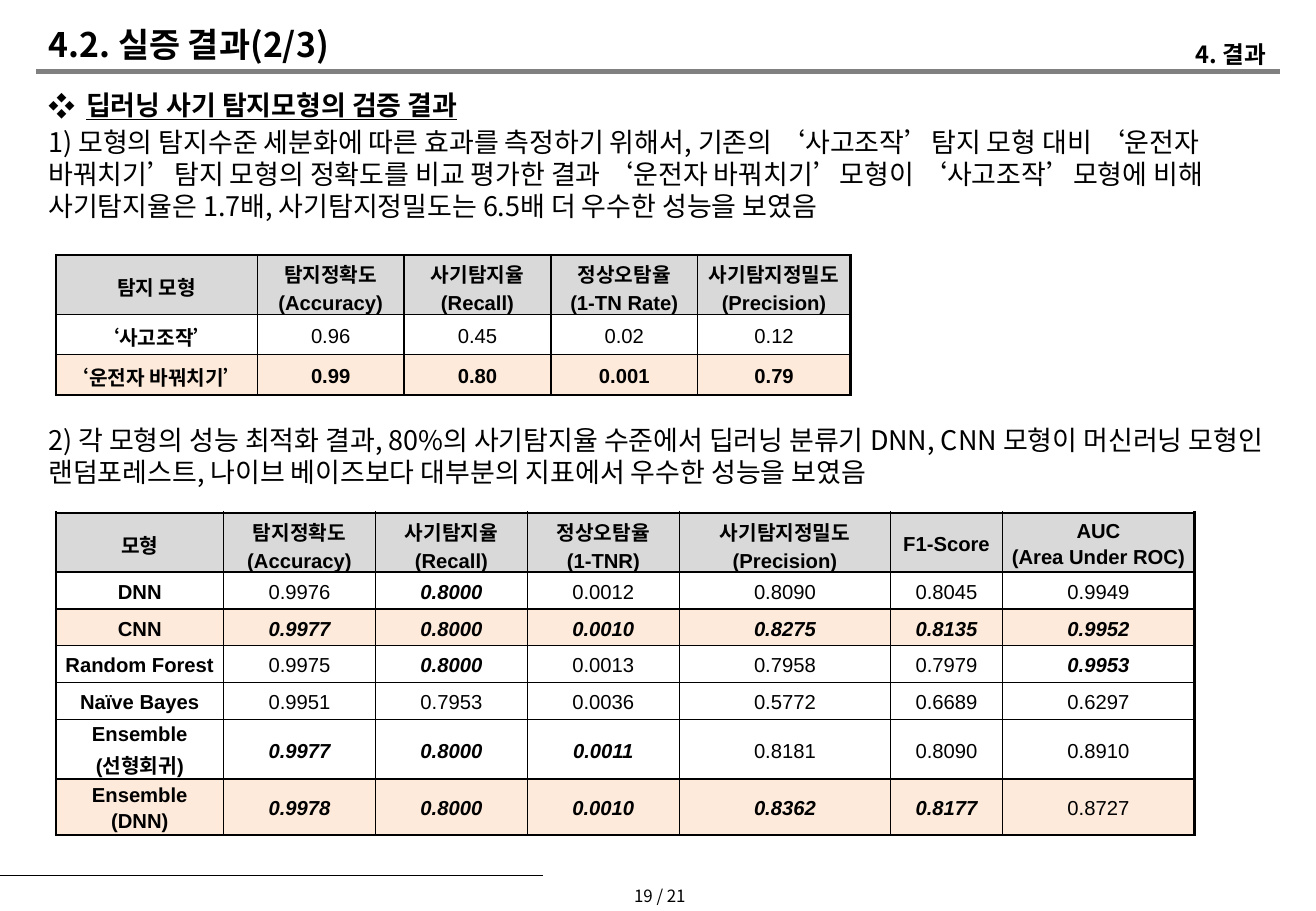
from lxml.etree import SubElement
from pptx import Presentation
from pptx.dml.color import RGBColor
from pptx.enum.shapes import MSO_CONNECTOR
from pptx.enum.text import MSO_ANCHOR, MSO_AUTO_SIZE, PP_ALIGN
from pptx.oxml.ns import qn
from pptx.util import Inches, Pt

WIDTH, HEIGHT = Inches(10.83), Inches(7.5)
KOREAN, LATIN = "Noto Sans CJK KR", "Arial"
BLACK, GRAY, HEADER, HIGHLIGHT = "000000", "808080", "D9D9D9", "FDEADA"
LEFT, CONTENT_WIDTH = 2.77, 94.46  # percent of the slide width

DETECTION_COLUMNS = [1.66, 1.21, 1.21, 1.21, 1.26]
DETECTION_ROWS = [6.53, 4.4, 4.4]  # percent of the slide height
DETECTION = [
    ["탐지 모형", "탐지정확도\n(Accuracy)", "사기탐지율\n(Recall)",
     "정상오탐율\n(1-TN Rate)", "사기탐지정밀도 (Precision)"],
    ["‘사고조작’", "0.96", "0.45", "0.02", "0.12"],
    ["‘운전자 바꿔치기’", "0.99", "0.80", "0.001", "0.79"],
]

# An asterisk marks a value set in bold italics
MODEL_COLUMNS = [1.38, 1.25, 1.25, 1.25, 1.74, 0.92, 1.58]
MODEL_ROWS = [6.53, 4.05, 4.05, 4.05, 4.05, 6.53, 5.73]
MODELS = [
    ["모형", "탐지정확도\n(Accuracy)", "사기탐지율\n(Recall)", "정상오탐율\n(1-TNR)",
     "사기탐지정밀도 (Precision)", "F1-Score", "AUC\n(Area Under ROC)"],
    ["DNN", "0.9976", "0.8000*", "0.0012", "0.8090", "0.8045", "0.9949"],
    ["CNN", "0.9977*", "0.8000*", "0.0010*", "0.8275*", "0.8135*", "0.9952*"],
    ["Random Forest", "0.9975", "0.8000*", "0.0013", "0.7958", "0.7979", "0.9953*"],
    ["Naïve Bayes", "0.9951", "0.7953", "0.0036", "0.5772", "0.6689", "0.6297"],
    ["Ensemble\n(선형회귀)", "0.9977*", "0.8000*", "0.0011*", "0.8181", "0.8090", "0.8910"],
    ["Ensemble\n(DNN)", "0.9978*", "0.8000*", "0.0010*", "0.8362*", "0.8177*", "0.8727"],
]


def color(value):
    return RGBColor.from_string(value)


def across(percent):
    return round(WIDTH * percent / 100)


def down(percent):
    return round(HEIGHT * percent / 100)


def region(left, top, width, height):
    return across(left), down(top), across(width), down(height)


def write(paragraph, text, size=16, font=KOREAN, bold=False, italic=False,
          underline=False, align=PP_ALIGN.LEFT, spacing=None, before=0):
    paragraph.alignment = align
    paragraph.space_before = Pt(before)
    if spacing:
        paragraph.line_spacing = spacing
    run = paragraph.add_run()
    run.text = text
    run.font.size, run.font.name = Pt(size), font
    run.font.bold, run.font.italic, run.font.underline = bold, italic, underline
    run.font.color.rgb = color(BLACK)
    SubElement(run.font._element, qn("a:ea")).set("typeface", KOREAN)


def add_bullet(paragraph, symbol):
    properties = paragraph._p.get_or_add_pPr()
    indent = Inches(0.31)
    properties.set("marL", str(indent))
    properties.set("indent", str(-indent))
    SubElement(properties, qn("a:buFont")).set("typeface", KOREAN)
    SubElement(properties, qn("a:buChar")).set("char", symbol)


def add_text(slide, box, lines, wrap=True):
    """Place one paragraph for each (text, format) pair and return the frame."""
    frame = slide.shapes.add_textbox(*box).text_frame
    frame.word_wrap = wrap
    for index, (text, style) in enumerate(lines):
        paragraph = frame.add_paragraph() if index else frame.paragraphs[0]
        write(paragraph, text, **style)
    return frame


def add_rule(slide, left, right, top, line_color, weight):
    line = slide.shapes.add_connector(MSO_CONNECTOR.STRAIGHT, across(left), down(top),
                                      across(right), down(top))
    line.line.color.rgb = color(line_color)
    line.line.width = Pt(weight)
    SubElement(line._element.spPr, qn("a:effectLst"))


def set_borders(cell, weights):
    properties = cell._tc.get_or_add_tcPr()
    for index, (side, weight) in enumerate(weights.items()):
        line = properties.makeelement(qn(f"a:{side}"), {"w": str(Pt(weight))})
        fill = SubElement(line, qn("a:solidFill"))
        SubElement(fill, qn("a:srgbClr")).set("val", BLACK)
        properties.insert(index, line)


def add_results(slide, box, rows, column_weights, row_heights, highlighted, bold_highlight=False):
    left, top, width, height = box
    table = slide.shapes.add_table(len(rows), len(column_weights), *box).table
    table.horz_banding = False
    for column, weight in zip(table.columns, column_weights):
        column.width = round(width * weight / sum(column_weights))
    for row, share in zip(table.rows, row_heights):
        row.height = round(height * share / sum(row_heights))

    last_row, last_column = len(rows) - 1, len(column_weights) - 1
    for r, values in enumerate(rows):
        for c, value in enumerate(values):
            cell = table.cell(r, c)
            cell.vertical_anchor = MSO_ANCHOR.MIDDLE
            cell.margin_left = cell.margin_right = Inches(0.06)
            cell.margin_top = cell.margin_bottom = 0
            if r == 0 or r in highlighted:
                cell.fill.solid()
                cell.fill.fore_color.rgb = color(HIGHLIGHT if r else HEADER)
            else:
                cell.fill.background()
            set_borders(cell, {
                "lnL": 1 if c else 1.5, "lnR": 1.5 if c == last_column else 1,
                "lnT": 1 if r else 1.5, "lnB": 1.5 if r == last_row else 1})
            best = value.endswith("*")
            bold = r == 0 or c == 0 or best or (bold_highlight and r in highlighted)
            for index, text in enumerate(value.rstrip("*").split("\n")):
                frame = cell.text_frame
                paragraph = frame.add_paragraph() if index else frame.paragraphs[0]
                write(paragraph, text, size=12, font=LATIN, bold=bold, italic=best,
                      align=PP_ALIGN.CENTER, spacing=1.15)


def add_header(slide):
    add_rule(slide, LEFT, LEFT + CONTENT_WIDTH, 7.87, GRAY, 3)
    title = slide.shapes.title
    title.left, title.top, title.width, title.height = region(LEFT, 2.4, 40.07, 4.93)
    frame = title.text_frame
    frame.auto_size = MSO_AUTO_SIZE.NONE
    frame.vertical_anchor = MSO_ANCHOR.MIDDLE
    write(frame.paragraphs[0], "4.2. 실증 결과(2/3)", size=20, bold=True)
    add_text(slide, region(63.71, 3.73, 33.43, 3.73), [
        ("4. 결과", dict(size=14, bold=True, align=PP_ALIGN.RIGHT, spacing=Pt(16.6)))])


def add_findings(slide):
    body = dict(spacing=Pt(19), before=3.2)
    frame = add_text(slide, region(LEFT, 9.07, CONTENT_WIDTH, 9.47), [
        ("딥러닝 사기 탐지모형의 검증 결과", dict(body, bold=True, underline=True)),
        ("1) 모형의 탐지수준 세분화에 따른 효과를 측정하기 위해서, 기존의 ‘사고조작’탐지 모형 대비 "
         "‘운전자 바꿔치기’탐지 모형의 정확도를 비교 평가한 결과 ‘운전자 바꿔치기’모형이 "
         "‘사고조작’모형에 비해 사기탐지율은 1.7배, 사기탐지정밀도는 6.5배 더 우수한 성능을 보였음", body)])
    add_bullet(frame.paragraphs[0], "❖")
    add_results(slide, region(4.25, 28, 60.39, sum(DETECTION_ROWS)), DETECTION,
                DETECTION_COLUMNS, DETECTION_ROWS, {2}, bold_highlight=True)
    add_text(slide, region(LEFT, 45.87, CONTENT_WIDTH, 9.47), [
        ("2) 각 모형의 성능 최적화 결과, 80%의 사기탐지율 수준에서 딥러닝 분류기 DNN, CNN 모형이 "
         "머신러닝 모형인 랜덤포레스트, 나이브 베이즈보다 대부분의 지표에서 우수한 성능을 보였음", body)])
    add_results(slide, region(4.25, 56.27, 86.52, sum(MODEL_ROWS)), MODELS,
                MODEL_COLUMNS, MODEL_ROWS, {2, 6})


def add_footer(slide):
    add_rule(slide, 0, 41.27, 96.13, BLACK, 0.75)
    add_text(slide, region(46.63, 96.53, 6.74, 3.6), [
        (" 19 / 21", dict(size=10, align=PP_ALIGN.CENTER))], wrap=False)


def main():
    presentation = Presentation()
    presentation.slide_width, presentation.slide_height = WIDTH, HEIGHT
    slide = presentation.slides.add_slide(presentation.slide_layouts[5])
    add_header(slide)
    add_findings(slide)
    add_footer(slide)
    presentation.save("out.pptx")


if __name__ == "__main__":
    main()
